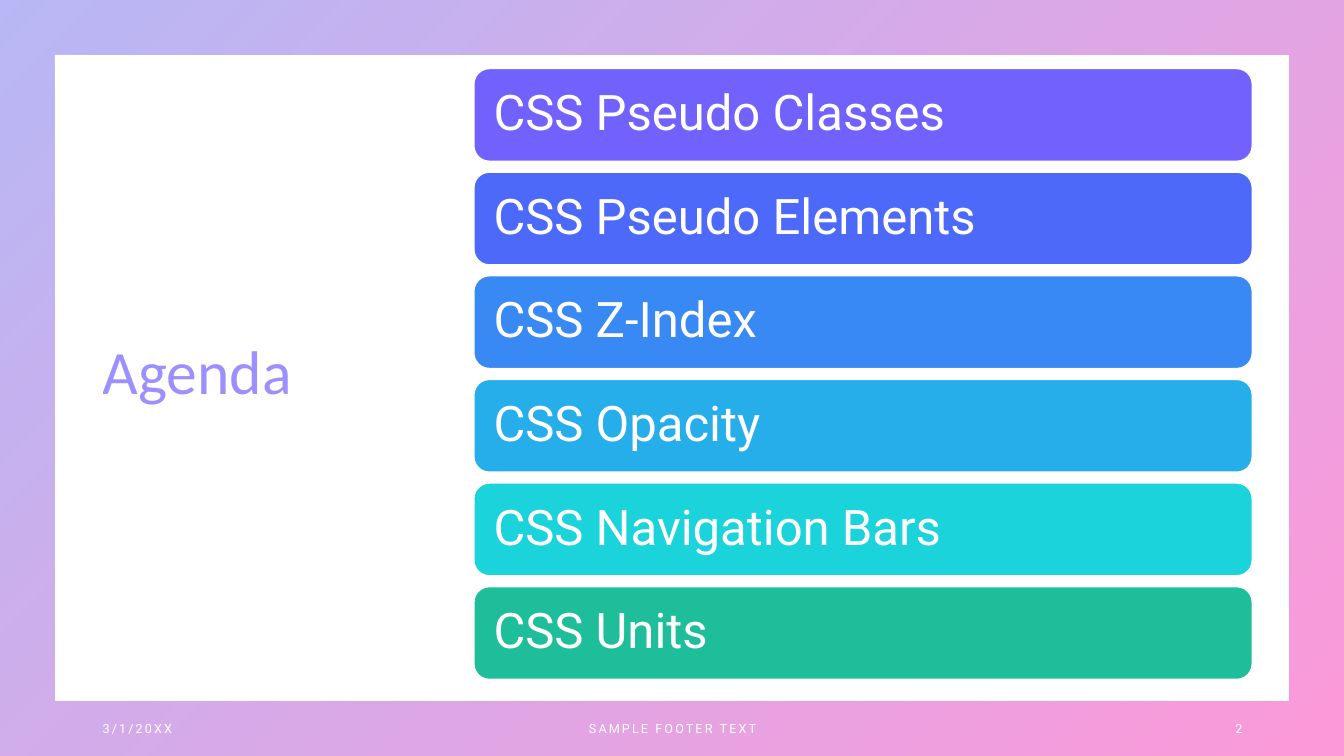
from pptx import Presentation
from pptx.dml.color import RGBColor
from pptx.enum.shapes import MSO_SHAPE as Shape
from pptx.enum.text import MSO_ANCHOR as Anchor, PP_ALIGN as Align
from pptx.oxml.ns import qn
from pptx.util import Inches, Pt
from lxml import etree

COLOURS = {
    "white": "FFFFFF",
    "indigo": "4D4EE6",
    "pink": "F900A0",
    "violet": "7162FE",
    "blue": "4D69F9",
    "azure": "3889F3",
    "sky": "26AEEB",
    "turquoise": "1BD3DB",
    "green": "1EBE9B",
}
AGENDA = [
    ("CSS Pseudo Classes", "violet"),
    ("CSS Pseudo Elements", "blue"),
    ("CSS Z-Index", "azure"),
    ("CSS Opacity", "sky"),
    ("CSS Navigation Bars", "turquoise"),
    ("CSS Units", "green"),
]
FOOTER = [
    ("3/1/20XX", 0.92, 3, Align.LEFT),
    ("SAMPLE FOOTER TEXT", 4.42, 4.5, Align.CENTER),
    ("2", 9.42, 3, Align.RIGHT),
]
FIRST_TOP, LAST_TOP = 0.68, 5.82


def colour(name):
    return RGBColor.from_string(COLOURS[name])


def set_gradient(fill, element, names, angle, opacity):
    """Give fill a linear gradient; opacity (percent) goes on the colours within element."""
    fill.gradient()
    fill.gradient_angle = angle
    for stop, name in zip(fill.gradient_stops, names):
        stop.color.rgb = colour(name)
    for node in element.iter(qn("a:srgbClr")):
        etree.SubElement(node, qn("a:alpha"), val=str(opacity * 1000))


def write(shape, text, font_name, size, align=Align.LEFT):
    frame = shape.text_frame
    frame.word_wrap = True
    frame.vertical_anchor = Anchor.MIDDLE
    frame.text = text
    para = frame.paragraphs[0]
    para.alignment = align
    span = para.runs[0]
    span.font.name = font_name
    span.font.size = Pt(size)
    span.font.color.rgb = colour("white")
    return para


def add_border(page, width, height):
    border = page.shapes.add_shape(Shape.FRAME, 0, 0, width, height)
    border.adjustments[0] = 0.072
    border.shadow.inherit = False
    border.line.fill.background()
    set_gradient(border.fill, border.element, ("indigo", "pink"), 315, 40)


def add_title(page, text):
    title = page.shapes.title
    title.left, title.top = Inches(0.92), Inches(0.67)
    title.width, title.height = Inches(3.5), Inches(6.09)
    para = write(title, text, "Calibri", 44)
    para.line_spacing = 0.9
    set_gradient(para.runs[0].font.fill, title.element, ("violet", "pink"), 0, 70)


def add_footer_text(page, text, left, width, align):
    box = page.shapes.add_textbox(Inches(left), Inches(7.03), Inches(width), Inches(0.4))
    para = write(box, text, "Roboto", 9, align)
    para.runs[0].font._element.set("spc", "150")


def add_agenda_bar(page, text, fill_name, top):
    bar = page.shapes.add_shape(
        Shape.ROUNDED_RECTANGLE, Inches(4.7), Inches(top), Inches(7.72), Inches(0.92)
    )
    bar.shadow.inherit = False
    bar.fill.solid()
    bar.fill.fore_color.rgb = colour(fill_name)
    bar.line.color.rgb = colour("white")
    bar.line.width = Pt(1)
    frame = bar.text_frame
    frame.margin_left = frame.margin_right = Inches(0.15)
    frame.margin_top = frame.margin_bottom = Inches(0.15)
    write(bar, text, "Roboto", 35).line_spacing = 0.9


def main():
    deck = Presentation()
    deck.slide_width, deck.slide_height = Inches(13.33), Inches(7.5)
    page = deck.slides.add_slide(deck.slide_layouts[5])
    page.background.fill.solid()
    page.background.fill.fore_color.rgb = colour("white")

    add_border(page, deck.slide_width, deck.slide_height)
    add_title(page, "Agenda")
    for text, left, width, align in FOOTER:
        add_footer_text(page, text, left, width, align)
    step = (LAST_TOP - FIRST_TOP) / (len(AGENDA) - 1)
    for row, (text, fill_name) in enumerate(AGENDA):
        add_agenda_bar(page, text, fill_name, FIRST_TOP + row * step)

    deck.save("out.pptx")


if __name__ == "__main__":
    main()
